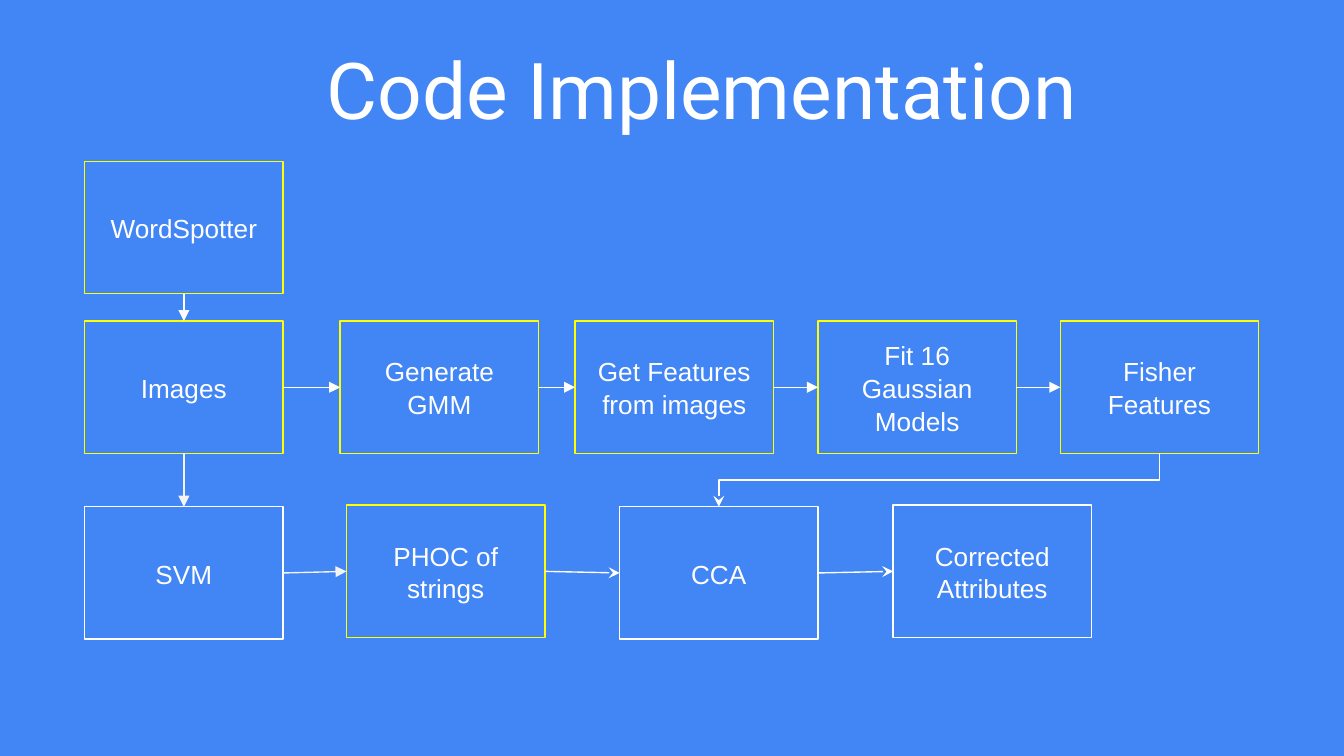
from lxml.etree import SubElement
from pptx import Presentation
from pptx.dml.color import RGBColor
from pptx.enum.shapes import MSO_CONNECTOR, MSO_SHAPE
from pptx.enum.text import MSO_ANCHOR, MSO_AUTO_SIZE, PP_ALIGN
from pptx.oxml.ns import qn
from pptx.util import Cm, Pt

BLUE, WHITE, PALE, YELLOW = "4285F4", "FFFFFF", "F3F3F3", "FFFF00"
TOP, LEFT, BOTTOM, RIGHT = range(4)


def color(code):
    return RGBColor.from_string(code)


class Deck:
    width, height = Cm(3.75), Cm(2.5)
    inset = Cm(0.25)
    stroke = Pt(0.75)

    def __init__(self):
        self.file = Presentation()
        self.file.slide_width, self.file.slide_height = Cm(25.4), Cm(14.29)
        self.slide = self.file.slides.add_slide(self.file.slide_layouts[5])
        fill = self.slide.background.fill
        fill.solid()
        fill.fore_color.rgb = color(BLUE)

    def label(self, shape, text, font, size, align):
        frame = shape.text_frame
        frame.text = text
        frame.word_wrap = True
        frame.auto_size = MSO_AUTO_SIZE.NONE
        frame.vertical_anchor = MSO_ANCHOR.MIDDLE
        frame.margin_left = frame.margin_right = self.inset
        frame.margin_top = frame.margin_bottom = self.inset
        line = frame.paragraphs[0]
        line.alignment = align
        style = line.runs[0].font
        style.name, style.size = font, Pt(size)
        style.color.rgb = color(WHITE)
        return line

    def title(self, text, left, top, width, height):
        shape = self.slide.shapes.title
        shape.left, shape.top = Cm(left), Cm(top)
        shape.width, shape.height = Cm(width), Cm(height)
        self.label(shape, text, "Roboto", 42, PP_ALIGN.LEFT)

    def box(self, text, left, top, edge):
        shape = self.slide.shapes.add_shape(
            MSO_SHAPE.RECTANGLE, Cm(left), Cm(top), self.width, self.height)
        shape.shadow.inherit = False
        shape.fill.background()
        shape.line.color.rgb = color(edge)
        shape.line.width = self.stroke
        line = self.label(shape, text, "Arial", 14, PP_ALIGN.CENTER)
        line.line_spacing = 1.05
        return shape

    def arrow(self, start, out, end, into, head, tint=WHITE, kind=MSO_CONNECTOR.STRAIGHT):
        link = self.slide.shapes.add_connector(kind, 0, 0, 0, 0)
        link.begin_connect(start, out)
        link.end_connect(end, into)
        link.line.color.rgb = color(tint)
        link.line.width = self.stroke
        props = link._element.spPr
        SubElement(props.get_or_add_ln(), qn("a:tailEnd"), type=head)
        SubElement(props, qn("a:effectLst"))
        return link

    def elbow(self, start, end, head):
        link = self.arrow(start, BOTTOM, end, TOP, head, kind=MSO_CONNECTOR.ELBOW)
        wide, tall = link.width, link.height
        shift = (wide - tall) // 2
        link.left, link.top = link.left + shift, link.top - shift
        link.width, link.height = tall, wide
        frame = link._element.spPr.find(qn("a:xfrm"))
        frame.attrib.pop("flipH", None)
        frame.set("rot", "5400000")


def main():
    deck = Deck()
    deck.title("Code Implementation", 5.92, 0.89, 18.21, 1.55)

    first, middle, low, high = 1.6, 6.07, 9.58, 9.55
    spotter = deck.box("WordSpotter", first, 3.05, YELLOW)
    chain = [deck.box(text, left, middle, YELLOW) for text, left in (
        ("Images", first),
        ("Generate GMM", 6.43),
        ("Get Features from images", 10.87),
        ("Fit 16 Gaussian Models", 15.46),
        ("Fisher Features", 20.04),
    )]
    svm, phoc, cca, result = [deck.box(*item) for item in (
        ("SVM", first, low, WHITE),
        ("PHOC of strings", 6.55, high, YELLOW),
        ("CCA", 11.71, low, WHITE),
        ("Corrected Attributes", 16.88, high, WHITE),
    )]

    images, fisher = chain[0], chain[-1]
    deck.arrow(spotter, BOTTOM, images, TOP, "triangle")
    deck.arrow(images, BOTTOM, svm, TOP, "triangle", PALE)
    for start, end in zip(chain, chain[1:]):
        deck.arrow(start, RIGHT, end, LEFT, "triangle")
    deck.arrow(svm, RIGHT, phoc, LEFT, "triangle", PALE)
    deck.arrow(phoc, RIGHT, cca, LEFT, "stealth")
    deck.arrow(cca, RIGHT, result, LEFT, "stealth")
    deck.elbow(fisher, cca, "stealth")

    deck.file.save("out.pptx")


if __name__ == "__main__":
    main()
